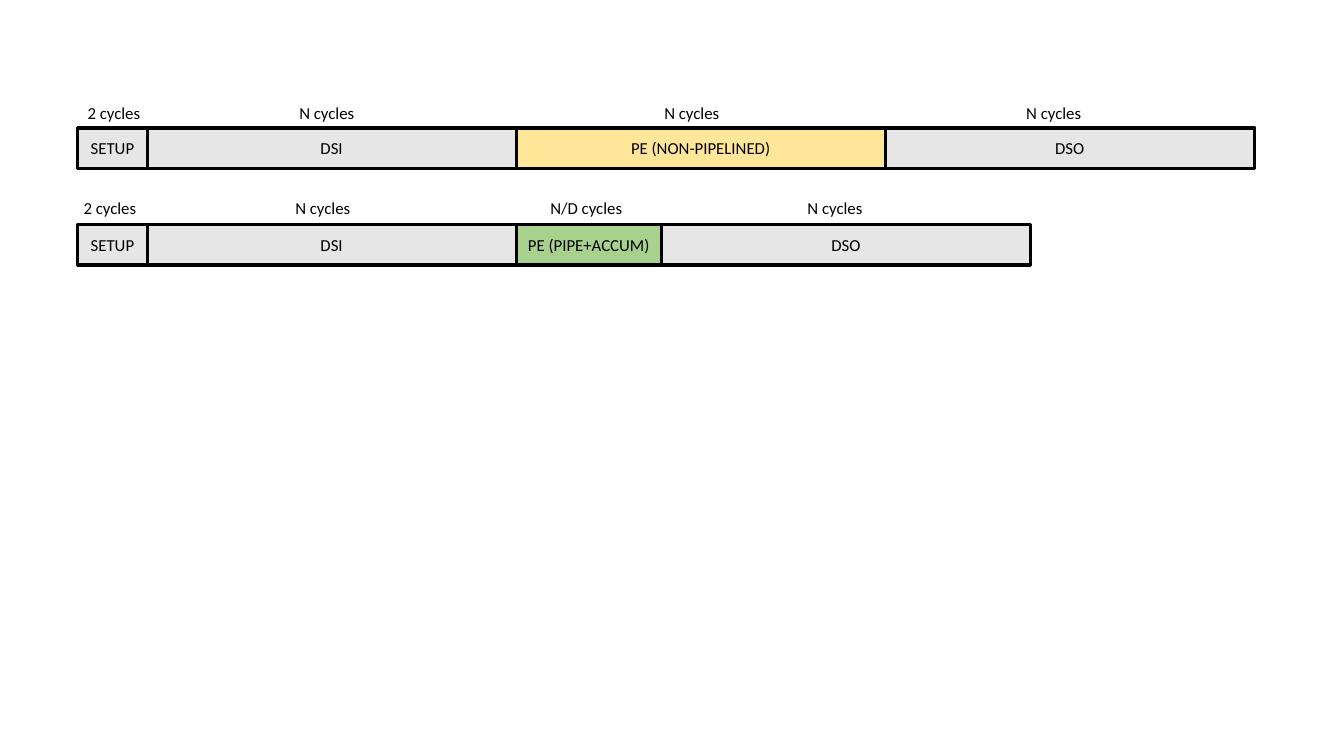
from lxml import etree
from pptx import Presentation
from pptx import util as u
from pptx.dml.color import RGBColor
from pptx.enum import shapes, text
from pptx.oxml import ns

BLACK = RGBColor(0x00, 0x00, 0x00)
WHITE = RGBColor(0xFF, 0xFF, 0xFF)
GREY = RGBColor(0xE7, 0xE6, 0xE6)
GOLD = RGBColor(0xFF, 0xE6, 0x99)
GREEN = RGBColor(0xA9, 0xD1, 0x8E)

LEFT = 0.77
HIGH = 0.4
SETUP = 0.69
FULL = 3.66
SHORT = 1.44


def style(para):
    for run in para.runs:
        run.font.name = "Calibri"
        run.font.size = u.Pt(12)
        run.font.color.rgb = BLACK


def add_bar(group, left, top, width, fill, name=""):
    bar = group.shapes.add_shape(
        shapes.MSO_SHAPE.RECTANGLE,
        u.Inches(left), u.Inches(top), u.Inches(width), u.Inches(HIGH))
    bar.shadow.inherit = False
    bar.fill.solid()
    bar.fill.fore_color.rgb = fill
    bar.line.color.rgb = BLACK
    bar.line.width = u.Pt(2.25)
    if name:
        frame = bar.text_frame
        frame.text = name
        frame.word_wrap = True
        frame.vertical_anchor = text.MSO_ANCHOR.MIDDLE
        para = frame.paragraphs[0]
        para.alignment = text.PP_ALIGN.CENTER
        style(para)


def add_labels(group, left, top, width, labels, stops):
    box = group.shapes.add_textbox(
        u.Inches(left), u.Inches(top), u.Inches(width), u.Inches(0.3))
    frame = box.text_frame
    frame.word_wrap = True
    frame.auto_size = text.MSO_AUTO_SIZE.SHAPE_TO_FIT_TEXT
    para = frame.paragraphs[0]
    para.text = "\t".join(labels)
    style(para)
    # Tab stops, measured from the left text edge
    tabs = etree.SubElement(para._p.get_or_add_pPr(), ns.qn("a:tabLst"))
    for stop in stops:
        etree.SubElement(tabs, ns.qn("a:tab"),
                         pos=str(u.Inches(stop)), algn="l")


def add_row(slide, top, stages):
    group = slide.shapes.add_group_shape()
    total = sum(width for name, width, fill in stages)
    add_bar(group, LEFT, top, total, WHITE)
    left = LEFT
    for name, width, fill in stages:
        add_bar(group, left, top, width, fill, name)
        left += width
    return group


def main():
    deck = Presentation()
    deck.slide_width = u.Inches(13.33)
    deck.slide_height = u.Inches(7.5)
    slide = deck.slides.add_slide(deck.slide_layouts[6])

    # Non-pipelined timeline
    plain = add_row(slide, 1.27, [
        ("SETUP", SETUP, GREY), ("DSI", FULL, GREY),
        ("PE (NON-PIPELINED)", FULL, GOLD), ("DSO", FULL, GREY)])
    add_labels(plain, LEFT, 0.97, 11.67,
               ["2 cycles", "N cycles", "N cycles", "N cycles"],
               [2.1, 5.72, 9.31])

    # Pipelined timeline
    piped = add_row(slide, 2.23, [
        ("SETUP", SETUP, GREY), ("DSI", FULL, GREY),
        ("PE (PIPE+ACCUM)", SHORT, GREEN), ("DSO", FULL, GREY)])
    add_labels(piped, 0.73, 1.91, 8.31,
               ["2 cycles", "N cycles", "N/D cycles", "N cycles"],
               [2.1, 4.63, 7.18])

    deck.save("out.pptx")


if __name__ == "__main__":
    main()
